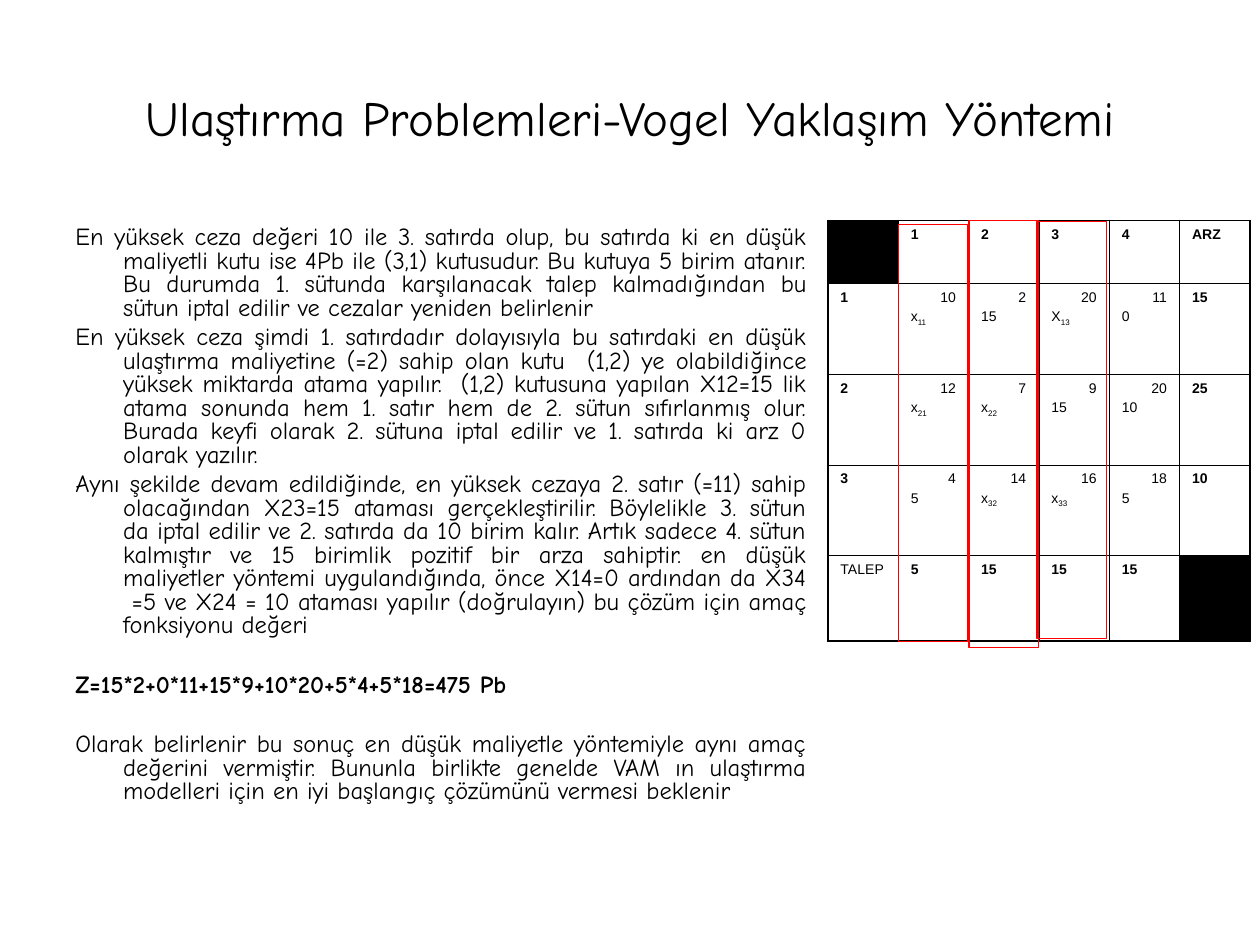
from dataclasses import dataclass
from typing import Optional

from lxml import etree
from pptx import Presentation
from pptx import util as u
from pptx.dml.color import RGBColor
from pptx.enum import shapes, text
from pptx.oxml import ns

BLACK = "000000"
RED = "FF0000"
BODY_FONT = "Comic Neue"
TABLE_FONT = "Arial"


@dataclass
class Note:
    wording: str
    before: float = 3.5
    bold: bool = False


@dataclass
class Label:
    wording: str
    bold: bool = True


@dataclass
class Route:
    cost: str
    amount: str
    index: str = ""


@dataclass
class Frame:
    left: float
    top: float
    height: float


NOTES = [
    Note("En yüksek ceza değeri 10 ile 3. satırda olup, bu satırda ki en düşük maliyetli kutu ise "
         "4Pb ile (3,1) kutusudur. Bu kutuya 5 birim atanır. Bu durumda 1. sütunda karşılanacak "
         "talep kalmadığından bu sütun iptal edilir ve cezalar yeniden belirlenir"),
    Note("En yüksek ceza şimdi 1. satırdadır dolayısıyla bu satırdaki en düşük ulaştırma maliyetine "
         "(=2) sahip olan kutu  (1,2) ye olabildiğince yüksek miktarda atama yapılır.  (1,2) kutusuna "
         "yapılan X12=15 lik atama sonunda hem 1. satır hem de 2. sütun sıfırlanmış olur. Burada keyfi "
         "olarak 2. sütuna iptal edilir ve 1. satırda ki arz 0 olarak yazılır."),
    Note("Aynı şekilde devam edildiğinde, en yüksek cezaya 2. satır (=11) sahip olacağından X23=15 "
         "ataması gerçekleştirilir. Böylelikle 3. sütun da iptal edilir ve 2. satırda da 10 birim "
         "kalır. Artık sadece 4. sütun kalmıştır ve 15 birimlik pozitif bir arza sahiptir. en düşük "
         "maliyetler yöntemi uygulandığında, önce X14=0 ardından da X34  =5 ve X24 = 10 ataması "
         "yapılır (doğrulayın) bu çözüm için amaç fonksiyonu değeri "),
    Note("Z=15*2+0*11+15*9+10*20+5*4+5*18=475 Pb", before=20.5, bold=True),
    Note("Olarak belirlenir bu sonuç en düşük maliyetle yöntemiyle aynı amaç değerini vermiştir. "
         "Bununla birlikte genelde VAM ın ulaştırma modelleri için en iyi başlangıç çözümünü vermesi "
         "beklenir", before=20.5),
]

ROW_HEIGHTS = [0.5, 0.72, 0.72, 0.72, 0.68]
GRID = [
    [None, *map(Label, ["1", "2", "3", "4", "ARZ"])],
    [Label("1"), Route("10", "x", "11"), Route("2", "15"), Route("20", "X", "13"),
     Route("11", "0"), Label("15")],
    [Label("2"), Route("12", "x", "21"), Route("7", "x", "22"), Route("9", "15"),
     Route("20", "10"), Label("25")],
    [Label("3"), Route("4", "5"), Route("14", "x", "32"), Route("16", "x", "33"),
     Route("18", "5"), Label("10")],
    [Label("TALEP", bold=False), *map(Label, ["5", "15", "15", "15"]), None],
]

FRAMES = [Frame(7.13, 1.78, 3.31), Frame(7.69, 1.75, 3.39), Frame(8.23, 1.76, 3.31)]


def colour(value: str) -> RGBColor:
    return RGBColor.from_string(value)


def add_span(para, wording: str, size: float, font: str, bold: bool = False):
    span = para.add_run()
    span.text = wording
    span.font.size = u.Pt(size)
    span.font.name = font
    span.font.bold = bold
    span.font.color.rgb = colour(BLACK)
    return span


def add_box(page, left: float, top: float, width: float, height: float):
    box = page.shapes.add_textbox(u.Inches(left), u.Inches(top), u.Inches(width), u.Inches(height))
    box.text_frame.word_wrap = True
    return box.text_frame


def add_title(page) -> None:
    frame = add_box(page, 0.5, 0.3, 9, 1.25)
    frame.vertical_anchor = text.MSO_ANCHOR.MIDDLE
    para = frame.paragraphs[0]
    para.alignment = text.PP_ALIGN.CENTER
    add_span(para, "Ulaştırma Problemleri-Vogel Yaklaşım Yöntemi", 28, BODY_FONT)


def add_notes(page, notes: list[Note]) -> None:
    frame = add_box(page, 0.5, 1.75, 6, 5.31)
    for number, note in enumerate(notes):
        para = frame.add_paragraph() if number else frame.paragraphs[0]
        para.alignment = text.PP_ALIGN.JUSTIFY
        para.line_spacing = 0.8
        para.space_before = u.Pt(note.before)
        properties = para._p.get_or_add_pPr()
        properties.set("marL", str(u.Inches(0.38)))
        properties.set("indent", str(-u.Inches(0.38)))
        add_span(para, note.wording, 14, BODY_FONT, note.bold)


def set_borders(cell, outer_sides: dict[str, bool]) -> None:
    properties = cell._tc.get_or_add_tcPr()
    for position, (side, outer) in enumerate(outer_sides.items()):
        line = etree.Element(ns.qn(f"a:ln{side}"), w=str(u.Pt(1.08 if outer else 0.45)))
        fill = etree.SubElement(line, ns.qn("a:solidFill"))
        etree.SubElement(fill, ns.qn("a:srgbClr"), val=BLACK)
        properties.insert(position, line)


def fill_cell(cell, entry: Optional[Label | Route]) -> None:
    if entry is None:
        cell.fill.solid()
        cell.fill.fore_color.rgb = colour(BLACK)
        return
    cell.fill.background()
    para = cell.text_frame.paragraphs[0]
    para.space_before = u.Pt(2)
    if isinstance(entry, Label):
        add_span(para, entry.wording, 8, TABLE_FONT, entry.bold)
        return
    para.alignment = text.PP_ALIGN.RIGHT
    add_span(para, entry.cost, 8, TABLE_FONT)
    para = cell.text_frame.add_paragraph()
    para.space_before = u.Pt(2)
    add_span(para, entry.amount, 8, TABLE_FONT)
    if entry.index:
        span = add_span(para, entry.index, 8, TABLE_FONT)
        span._r.get_or_add_rPr().set("baseline", "-25000")


def add_cost_table(page) -> None:
    last_row, last_column = len(GRID) - 1, len(GRID[0]) - 1
    table = page.shapes.add_table(last_row + 1, last_column + 1, u.Inches(6.57), u.Inches(1.75),
                                  u.Inches(3.35), u.Inches(sum(ROW_HEIGHTS))).table
    table.first_row = table.horz_banding = False
    for row, (height, entries) in enumerate(zip(ROW_HEIGHTS, GRID)):
        table.rows[row].height = u.Inches(height)
        for column, entry in enumerate(entries):
            cell = table.cell(row, column)
            fill_cell(cell, entry)
            set_borders(cell, {"L": column == 0, "R": column == last_column,
                               "T": row == 0, "B": row == last_row})


def add_frame(page, frame: Frame) -> None:
    box = page.shapes.add_shape(shapes.MSO_SHAPE.RECTANGLE, u.Inches(frame.left),
                                u.Inches(frame.top), u.Inches(0.55), u.Inches(frame.height))
    box.shadow.inherit = False
    box.fill.background()
    box.line.color.rgb = colour(RED)
    box.line.width = u.Pt(0.75)


def main() -> None:
    deck = Presentation()
    deck.slide_width, deck.slide_height = u.Inches(10), u.Inches(7.5)
    page = deck.slides.add_slide(deck.slide_layouts[6])
    add_title(page)
    add_notes(page, NOTES)
    add_cost_table(page)
    for frame in FRAMES:
        add_frame(page, frame)
    deck.save("out.pptx")


if __name__ == "__main__":
    main()
